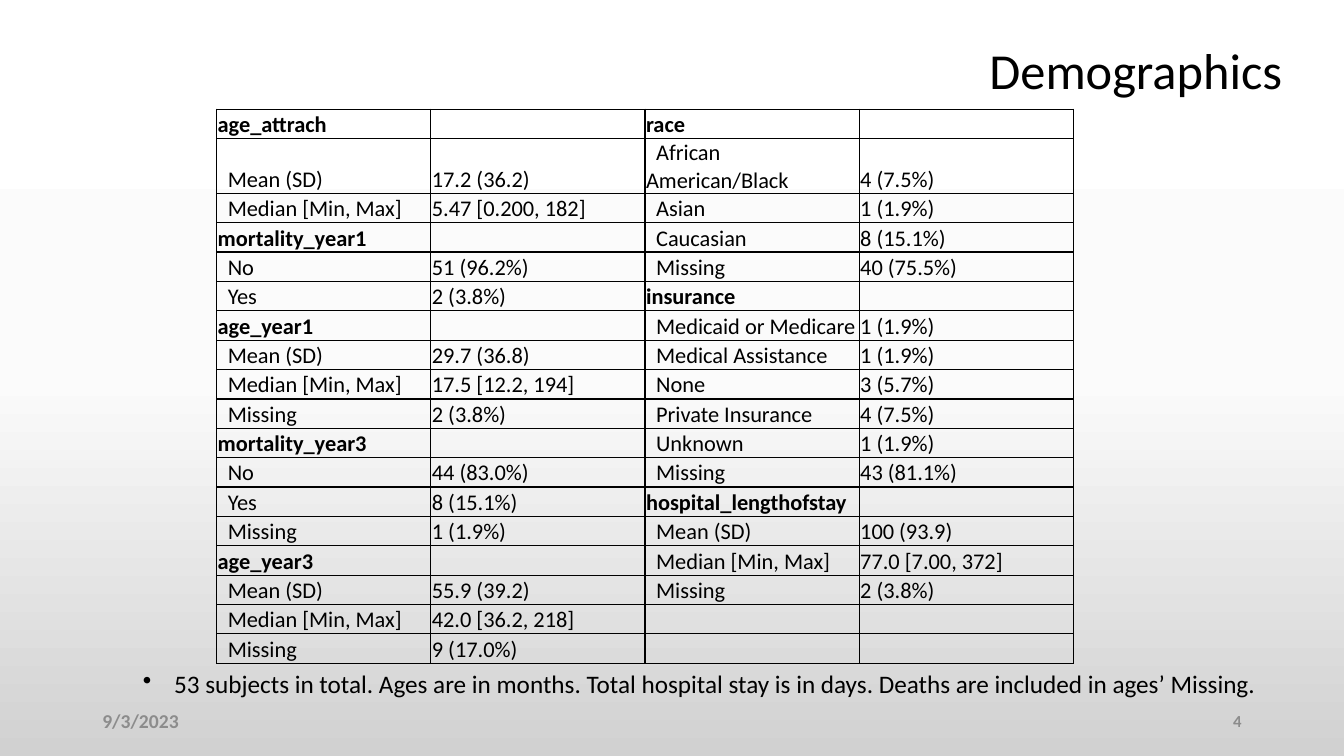
from copy import deepcopy
from typing import NamedTuple

from lxml import etree
from pptx import Presentation
from pptx import util as u
from pptx.dml.color import RGBColor
from pptx.enum import text
from pptx.oxml import parse_xml
from pptx.oxml.ns import nsdecls, qn

FONT = "Calibri"
COLORS = {
    "ink": "000000",
    "footer": "8C8C8C",
    "bg_top": "FFFFFF",
    "bg_middle": "FBFBFB",
    "bg_bottom": "D1D1D1",
}
# The slide is a grid of 160 columns by 90 rows of one twelfth of an inch.
GRID_COLS, GRID_ROWS = 160, 90
UNIT = u.Inches(1) // 12
TABLE_COL, ROW, TALL_ROW = 25.5, 3.5, 6.5
TALL_ROW_INDEX = 1
INDENT = u.Inches(0.1)
BULLET_INDENT = u.Inches(0.31)


class Label(NamedTuple):
    words: str
    col: float
    row: float
    cols: float
    rows: float
    size: int
    color: str = "ink"
    bold: bool = False
    align: text.PP_ALIGN = text.PP_ALIGN.LEFT
    anchor: text.MSO_ANCHOR = text.MSO_ANCHOR.MIDDLE
    line_spacing: float = 1.0
    bullet: bool = False


class Group(NamedTuple):
    variable: str
    stats: list[tuple[str, str]]


class Entry(NamedTuple):
    words: str = ""
    bold: bool = False
    indent: bool = False


RIGHT = text.PP_ALIGN.RIGHT
FOOTERS = [
    Label("9/3/2023", 11, 83.4, 36, 4.8, 14, "footer", True),
    Label("4", 113, 83.4, 36, 4.8, 12, "footer", True, RIGHT),
]
TITLE = Label("Demographics", 15.84, 0, 138, 17.4, 36, align=RIGHT, line_spacing=0.9)
NOTE = Label(
    "53 subjects in total. Ages are in months. Total hospital stay is in days. "
    "Deaths are included in ages’ Missing.",
    15.84, 79, 136.8, 4.8, 18, anchor=text.MSO_ANCHOR.TOP, bullet=True,
)

OUTCOMES = [
    Group("age_attrach", [("Mean (SD)", "17.2 (36.2)"),
                          ("Median [Min, Max]", "5.47 [0.200, 182]")]),
    Group("mortality_year1", [("No", "51 (96.2%)"), ("Yes", "2 (3.8%)")]),
    Group("age_year1", [("Mean (SD)", "29.7 (36.8)"),
                        ("Median [Min, Max]", "17.5 [12.2, 194]"),
                        ("Missing", "2 (3.8%)")]),
    Group("mortality_year3", [("No", "44 (83.0%)"), ("Yes", "8 (15.1%)"),
                              ("Missing", "1 (1.9%)")]),
    Group("age_year3", [("Mean (SD)", "55.9 (39.2)"),
                        ("Median [Min, Max]", "42.0 [36.2, 218]"),
                        ("Missing", "9 (17.0%)")]),
]
BACKGROUND = [
    Group("race", [("African American/Black", "4 (7.5%)"), ("Asian", "1 (1.9%)"),
                   ("Caucasian", "8 (15.1%)"), ("Missing", "40 (75.5%)")]),
    Group("insurance", [("Medicaid or Medicare", "1 (1.9%)"),
                        ("Medical Assistance", "1 (1.9%)"), ("None", "3 (5.7%)"),
                        ("Private Insurance", "4 (7.5%)"), ("Unknown", "1 (1.9%)"),
                        ("Missing", "43 (81.1%)")]),
    Group("hospital_lengthofstay", [("Mean (SD)", "100 (93.9)"),
                                    ("Median [Min, Max]", "77.0 [7.00, 372]"),
                                    ("Missing", "2 (3.8%)")]),
]


def grid(n: float) -> int:
    return round(n * UNIT)


def style_font(font, size: int, color: str, bold: bool) -> None:
    font.name, font.size, font.bold = FONT, u.Pt(size), bold
    font.color.rgb = RGBColor.from_string(COLORS[color])


def paint_background(s) -> None:
    fill = s.background.fill
    fill.gradient()
    fill.gradient_angle = 270
    stops = next(s._element.iter(qn("a:gsLst")))
    stops.append(deepcopy(stops[0]))
    names = ("bg_top", "bg_middle", "bg_bottom")
    for stop, name, position in zip(fill.gradient_stops, names, (0, 0.5, 1)):
        stop.color.rgb = RGBColor.from_string(COLORS[name])
        stop.position = position


def add_label(s, label: Label) -> None:
    sp = s.shapes.add_textbox(*map(grid, (label.col, label.row, label.cols, label.rows)))
    tf = sp.text_frame
    tf.word_wrap = True
    tf.vertical_anchor = label.anchor
    p = tf.paragraphs[0]
    p.text = label.words
    p.alignment = label.align
    p.line_spacing = label.line_spacing
    style_font(p.font, label.size, label.color, label.bold)
    if label.bullet:
        pPr = p._p.get_or_add_pPr()
        pPr.set("marL", str(BULLET_INDENT))
        pPr.set("indent", str(-BULLET_INDENT))
        bullet = parse_xml(f'<a:buChar {nsdecls("a")} char="•"/>')
        pPr.find(qn("a:defRPr")).addprevious(bullet)


def stack(groups: list[Group]) -> list[tuple[Entry, Entry]]:
    """Turn groups into rows: a bold variable name, then its indented statistics."""
    rows = []
    for group in groups:
        rows.append((Entry(group.variable, bold=True), Entry()))
        rows += [(Entry(name, indent=True), Entry(value)) for name, value in group.stats]
    return rows


def add_borders(cell) -> None:
    tcPr = cell._tc.get_or_add_tcPr()
    for i, side in enumerate(("lnL", "lnR", "lnT", "lnB")):
        tcPr.insert(i, parse_xml(
            f'<a:{side} {nsdecls("a")} w="{u.Pt(1)}"><a:solidFill>'
            f'<a:srgbClr val="{COLORS["ink"]}"/></a:solidFill></a:{side}>'))


def fill_cell(cell, entry: Entry) -> None:
    cell.margin_left = cell.margin_right = cell.margin_top = u.Inches(0.01)
    cell.margin_bottom = 0
    cell.vertical_anchor = text.MSO_ANCHOR.BOTTOM
    cell.fill.background()
    add_borders(cell)
    p = cell.text_frame.paragraphs[0]
    p.text = entry.words
    style_font(p.font, 16, "ink", entry.bold)
    if entry.indent:
        p._p.get_or_add_pPr().set("indent", str(INDENT))
    if not entry.words:
        etree.SubElement(p._p, qn("a:endParaRPr"), sz="1600")


def add_demographics(s, col: float, row: float) -> None:
    left, right = stack(OUTCOMES), stack(BACKGROUND)
    right += [(Entry(), Entry())] * (len(left) - len(right))
    rows = [a + b for a, b in zip(left, right)]
    heights = [TALL_ROW if i == TALL_ROW_INDEX else ROW for i in range(len(rows))]
    n_cols = len(rows[0])
    table = s.shapes.add_table(len(rows), n_cols, grid(col), grid(row),
                               grid(n_cols * TABLE_COL), grid(sum(heights))).table
    table.first_row = table.horz_banding = False
    for column in table.columns:
        column.width = grid(TABLE_COL)
    for i, (entries, height) in enumerate(zip(rows, heights)):
        table.rows[i].height = grid(height)
        for j, entry in enumerate(entries):
            fill_cell(table.cell(i, j), entry)


def main() -> None:
    prs = Presentation()
    prs.slide_width, prs.slide_height = grid(GRID_COLS), grid(GRID_ROWS)
    s = prs.slides.add_slide(prs.slide_layouts[6])
    paint_background(s)
    for label in (*FOOTERS, TITLE):
        add_label(s, label)
    add_demographics(s, 25.8, 13)
    add_label(s, NOTE)
    prs.save("out.pptx")


if __name__ == "__main__":
    main()
